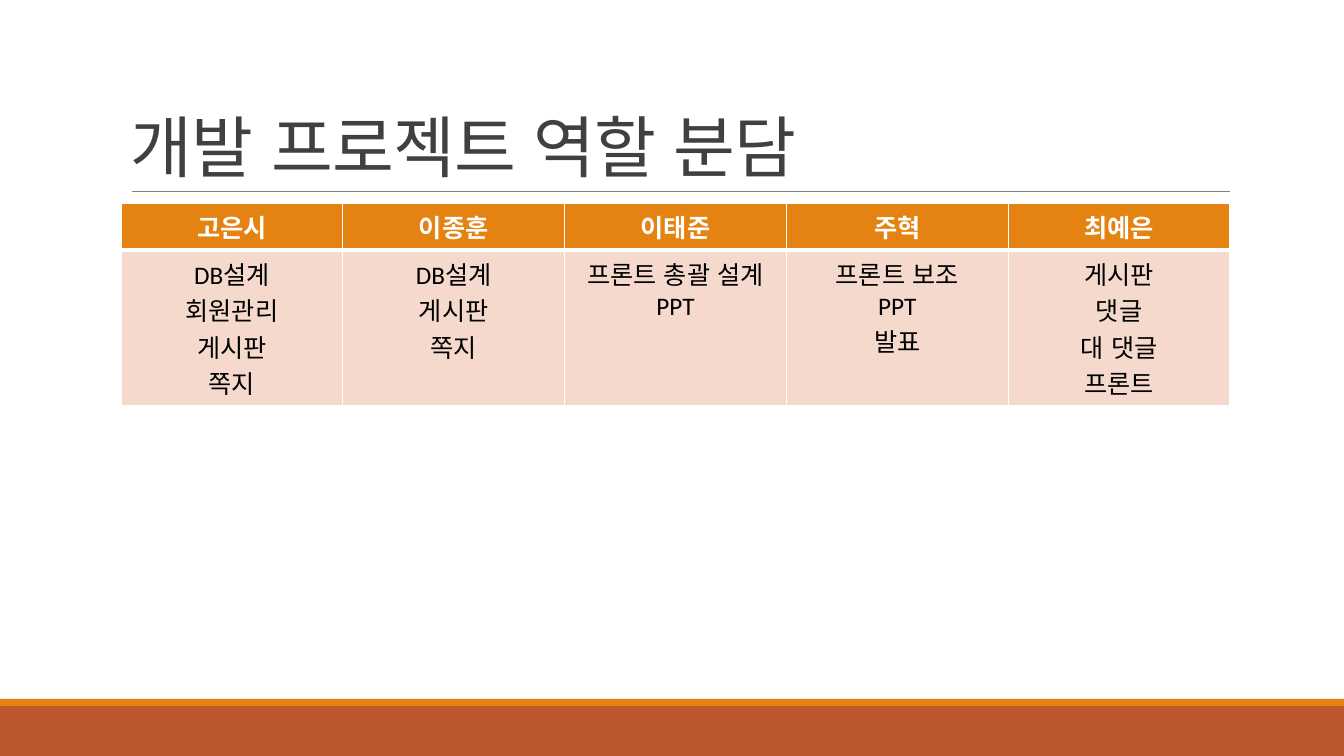
"""Build the slide that shows who does what in the development project."""
from dataclasses import dataclass

from lxml.etree import SubElement
from pptx import Presentation
from pptx.dml.color import RGBColor
from pptx.enum.lang import MSO_LANGUAGE_ID
from pptx.enum.shapes import MSO_CONNECTOR, MSO_SHAPE
from pptx.enum.text import MSO_ANCHOR, PP_ALIGN
from pptx.oxml import parse_xml
from pptx.oxml.ns import nsdecls, qn
from pptx.util import Pt

TITLE = "개발 프로젝트 역할 분담"
ROLES = {
    "고은시": ["DB설계", "회원관리", "게시판", "쪽지"],
    "이종훈": ["DB설계", "게시판", "쪽지"],
    "이태준": ["프론트 총괄 설계", "PPT"],
    "주혁": ["프론트 보조", "PPT", "발표"],
    "최예은": ["게시판", "댓글", "대 댓글", "프론트"],
}


@dataclass(frozen=True)
class Theme:
    font: str = "Calibri"
    title_size: int = 48
    table_size: int = 18
    title: str = "404040"
    rule: str = "808080"
    accent: str = "E48312"
    footer: str = "BD582C"
    body_fill: str = "F5D9CC"
    body_text: str = "000000"
    white: str = "FFFFFF"


THEME = Theme()
SLIDE_WIDTH, SLIDE_HEIGHT = 1344, 756
FOOTER_TOP, STRIPE_HEIGHT = 706, 7
RULE_LEFT, RULE_RIGHT, RULE_TOP = 132, 1230, 191
CONTENT_LEFT, CONTENT_WIDTH = 121, 1109
TITLE_TOP, TITLE_HEIGHT = 31, 160
TABLE_TOP, ROW_HEIGHTS = 203, (47, 156)
THIN, THICK = 1, 3


def px(length):
    return round(length * 914400 / 100.8)


def color(name):
    return RGBColor.from_string(name)


def style_span(span, size, text_color, bold=False):
    span.font.name = THEME.font
    span.font.size = Pt(size)
    span.font.bold = bold
    span.font.color.rgb = color(text_color)
    span.font.language_id = MSO_LANGUAGE_ID.KOREAN


def add_band(page, top, height, fill):
    band = page.shapes.add_shape(
        MSO_SHAPE.RECTANGLE, 0, px(top), px(SLIDE_WIDTH), px(height))
    band.shadow.inherit = False
    band.fill.solid()
    band.fill.fore_color.rgb = color(fill)
    band.line.fill.background()


def add_rule(page):
    rule = page.shapes.add_connector(
        MSO_CONNECTOR.STRAIGHT, px(RULE_LEFT), px(RULE_TOP), px(RULE_RIGHT), px(RULE_TOP))
    rule.line.color.rgb = color(THEME.rule)
    rule.line.width = Pt(0.5)
    SubElement(rule._element.spPr, qn("a:effectLst"))


def add_title(page):
    box = page.shapes.add_textbox(
        px(CONTENT_LEFT), px(TITLE_TOP), px(CONTENT_WIDTH), px(TITLE_HEIGHT))
    frame = box.text_frame
    frame.word_wrap = True
    frame.vertical_anchor = MSO_ANCHOR.BOTTOM
    frame.text = TITLE
    para = frame.paragraphs[0]
    para.line_spacing = 0.85
    span = para.runs[0]
    style_span(span, THEME.title_size, THEME.title)
    span._r.get_or_add_rPr().set("spc", "-50")


def set_borders(cell, top, bottom):
    properties = cell._tc.get_or_add_tcPr()
    widths = {"lnL": THIN, "lnR": THIN, "lnT": top, "lnB": bottom}
    for index, (side, width) in enumerate(widths.items()):
        properties.insert(index, parse_xml(
            f'<a:{side} {nsdecls("a")} w="{Pt(width)}"><a:solidFill>'
            f'<a:srgbClr val="{THEME.white}"/></a:solidFill></a:{side}>'))


def fill_cell(cell, lines, fill, text_color, bold, top, bottom):
    cell.fill.solid()
    cell.fill.fore_color.rgb = color(fill)
    set_borders(cell, top, bottom)
    cell.text_frame.text = "\n".join(lines)
    for para in cell.text_frame.paragraphs:
        para.alignment = PP_ALIGN.CENTER
        style_span(para.runs[0], THEME.table_size, text_color, bold)


def add_roles(page):
    table = page.shapes.add_table(
        len(ROW_HEIGHTS), len(ROLES), px(CONTENT_LEFT), px(TABLE_TOP),
        px(CONTENT_WIDTH), px(sum(ROW_HEIGHTS))).table
    for row, height in zip(table.rows, ROW_HEIGHTS):
        row.height = px(height)
    for index, (member, tasks) in enumerate(ROLES.items()):
        fill_cell(table.cell(0, index), [member], THEME.accent, THEME.white,
                  True, THIN, THICK)
        fill_cell(table.cell(1, index), tasks, THEME.body_fill, THEME.body_text,
                  False, THICK, THIN)


def main():
    deck = Presentation()
    deck.slide_width, deck.slide_height = px(SLIDE_WIDTH), px(SLIDE_HEIGHT)
    page = deck.slides.add_slide(deck.slide_layouts[6])
    add_band(page, FOOTER_TOP, SLIDE_HEIGHT - FOOTER_TOP, THEME.footer)
    add_band(page, FOOTER_TOP - STRIPE_HEIGHT, STRIPE_HEIGHT, THEME.accent)
    add_rule(page)
    add_title(page)
    add_roles(page)
    deck.save("out.pptx")


if __name__ == "__main__":
    main()
